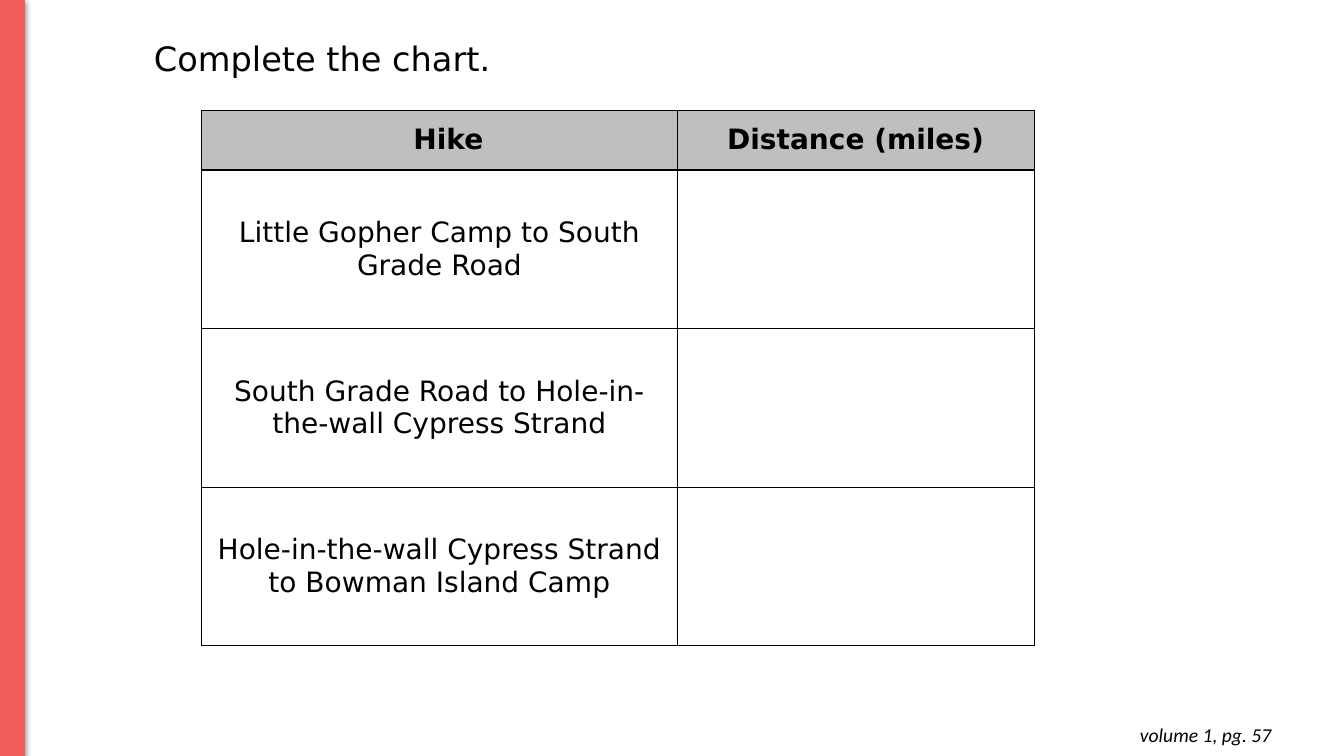
from lxml.etree import SubElement
from pptx import Presentation
from pptx.dml.color import RGBColor
from pptx.enum.shapes import MSO_SHAPE
from pptx.enum.text import MSO_ANCHOR, MSO_AUTO_SIZE, PP_ALIGN
from pptx.oxml.ns import qn
from pptx.util import Emu, Pt

CORAL = RGBColor(0xF2, 0x5E, 0x5B)
GREY = RGBColor(0xBF, 0xBF, 0xBF)
BLACK = RGBColor(0, 0, 0)
BODY_FONT = "DejaVu Sans"
NOTE_FONT = "Calibri"

HEADERS = ["Hike", "Distance (miles)"]
HIKES = [
    "Little Gopher Camp to South Grade Road",
    "South Grade Road to Hole-in-the-wall Cypress Strand",
    "Hole-in-the-wall Cypress Strand to Bowman Island Camp",
]


def px(n):
    return Emu(n * 9525)


def add_run(p, text, size, font=BODY_FONT, bold=False, italic=False):
    r = p.add_run()
    r.text = text
    f = r.font
    f.name, f.size, f.bold, f.italic = font, Pt(size), bold, italic
    f.color.rgb = BLACK


def set_indent(p, left, first=0):
    pPr = p._p.get_or_add_pPr()
    pPr.set("marL", str(px(left)))
    pPr.set("indent", str(px(first)))


def add_color(parent, color, alpha=None):
    clr = SubElement(parent, qn("a:srgbClr"), val=str(color))
    if alpha is not None:
        SubElement(clr, qn("a:alpha"), val=str(alpha * 1000))


# Coloured band along the left edge
def add_side_band(s, x, y, w, h):
    sp = s.shapes.add_shape(MSO_SHAPE.RECTANGLE, px(x), px(y), px(w), px(h))
    sp.fill.solid()
    sp.fill.fore_color.rgb = CORAL
    sp.line.color.rgb = CORAL
    sp.line.width = Pt(0.75)
    sp.shadow.inherit = False
    effects = sp._element.spPr.find(qn("a:effectLst"))
    shadow = SubElement(effects, qn("a:outerShdw"), blurRad=str(Pt(4.5)),
                        dist=str(Pt(1.5)), dir="5400000", rotWithShape="0")
    add_color(shadow, BLACK, 50)


# Instruction in the title placeholder
def add_title(s, x, y, w, h):
    sp = s.shapes.title
    sp.left, sp.top, sp.width, sp.height = px(x), px(y), px(w), px(h)
    tf = sp.text_frame
    tf.word_wrap = True
    tf.auto_size = MSO_AUTO_SIZE.NONE
    tf.vertical_anchor = MSO_ANCHOR.TOP
    p = tf.paragraphs[0]
    p.alignment = PP_ALIGN.LEFT
    set_indent(p, 47)
    add_run(p, "Complete the chart.", 24)


def set_borders(cell):
    tcPr = cell._tc.get_or_add_tcPr()
    for side in ("lnL", "lnR", "lnT", "lnB"):
        ln = SubElement(tcPr, qn(f"a:{side}"), w=str(Pt(1)))
        add_color(SubElement(ln, qn("a:solidFill")), BLACK)


# Hike table with an empty answer column
def add_hike_table(s, x, y, col_widths, header_h, row_h):
    rows = [HEADERS] + [[hike, ""] for hike in HIKES]
    heights = [header_h] + [row_h] * len(HIKES)
    table = s.shapes.add_table(len(rows), len(HEADERS), px(x), px(y),
                               px(sum(col_widths)), px(sum(heights))).table
    for col, w in zip(table.columns, col_widths):
        col.width = px(w)
    for i, (row, texts) in enumerate(zip(table.rows, rows)):
        row.height = px(heights[i])
        for cell, text in zip(row.cells, texts):
            set_borders(cell)
            if i == 0:
                cell.fill.solid()
                cell.fill.fore_color.rgb = GREY
            else:
                cell.fill.background()
            if text:
                cell.vertical_anchor = MSO_ANCHOR.MIDDLE
                p = cell.text_frame.paragraphs[0]
                p.alignment = PP_ALIGN.CENTER
                add_run(p, text, 20, bold=i == 0)
    set_indent(table.cell(0, 0).text_frame.paragraphs[0], 11, 6)


# Page reference at the bottom right
def add_page_note(s, x, y, w, h):
    tf = s.shapes.add_textbox(px(x), px(y), px(w), px(h)).text_frame
    tf.word_wrap = True
    tf.margin_left = tf.margin_right = tf.margin_top = tf.margin_bottom = px(10)
    p = tf.paragraphs[0]
    p.alignment = PP_ALIGN.RIGHT
    add_run(p, "volume 1, pg. 57", 14, NOTE_FONT, italic=True)


def main():
    prs = Presentation()
    prs.slide_width, prs.slide_height = px(1280), px(720)
    s = prs.slides.add_slide(prs.slide_layouts[5])
    add_page_note(s, 945, 678, 276, 42)
    add_side_band(s, 0, 0, 23, 720)
    add_hike_table(s, 192, 105, [453, 340], 57, 151)
    add_title(s, 90, 31, 1088, 48)
    prs.save("out.pptx")


if __name__ == "__main__":
    main()
